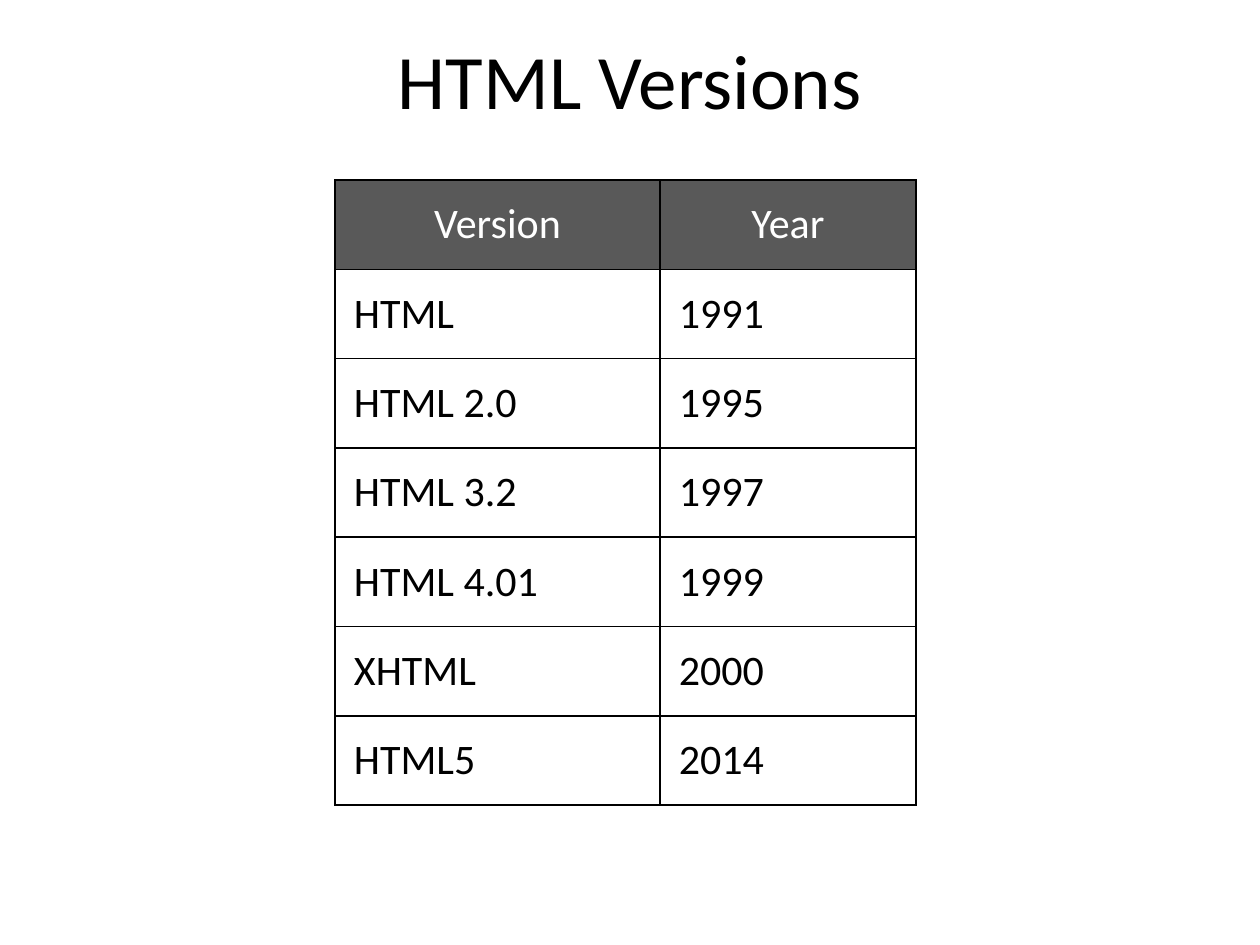
from lxml.etree import SubElement
from pptx import Presentation
from pptx.dml.color import RGBColor
from pptx.enum.text import MSO_ANCHOR as Anchor, PP_ALIGN as Align
from pptx.oxml.ns import qn
from pptx.util import Pt

PX = 914400 // 126
BLACK = RGBColor(0x00, 0x00, 0x00)
WHITE = RGBColor(0xFF, 0xFF, 0xFF)
GREY = RGBColor(0x59, 0x59, 0x59)
FONT = "Calibri"

COLUMN_WIDTHS = (325, 256)
ROW_HEIGHT = 89
CELL_MARGIN = 19
VERSIONS = [
    ("Version", "Year"),
    ("HTML", "1991"),
    ("HTML 2.0", "1995"),
    ("HTML 3.2", "1997"),
    ("HTML 4.01", "1999"),
    ("XHTML", "2000"),
    ("HTML5", "2014"),
]


def px(length):
    return length * PX


def set_all(target, values):
    for name, value in values.items():
        setattr(target, name, value)


def format_text(paragraph, size, color, align):
    paragraph.alignment = align
    set_all(paragraph.font, {"name": FONT, "size": Pt(size), "bold": False})
    paragraph.font.color.rgb = color


def add_title(slide, left, top, width, height):
    title = slide.shapes.title
    set_all(title, {"left": px(left), "top": px(top),
                    "width": px(width), "height": px(height)})
    title.text_frame.text = "HTML Versions"
    title.text_frame.vertical_anchor = Anchor.MIDDLE
    format_text(title.text_frame.paragraphs[0], 44, BLACK, Align.CENTER)


def add_borders(cell):
    properties = cell._tc.get_or_add_tcPr()
    for side in ("lnL", "lnR", "lnT", "lnB"):
        line = SubElement(properties, qn(f"a:{side}"), w=str(Pt(1)))
        fill = SubElement(line, qn("a:solidFill"))
        SubElement(fill, qn("a:srgbClr"), val=str(BLACK))


def fill_cell(cell, text, is_header):
    margins = ("margin_left", "margin_right", "margin_top", "margin_bottom")
    set_all(cell, dict.fromkeys(margins, px(CELL_MARGIN)))
    cell.vertical_anchor = Anchor.MIDDLE
    add_borders(cell)
    cell.fill.solid()
    cell.fill.fore_color.rgb = GREY if is_header else WHITE
    cell.text = text
    format_text(cell.text_frame.paragraphs[0], 24,
                WHITE if is_header else BLACK,
                Align.CENTER if is_header else Align.LEFT)


def add_version_table(slide, left, top):
    table = slide.shapes.add_table(
        len(VERSIONS), len(COLUMN_WIDTHS), px(left), px(top),
        px(sum(COLUMN_WIDTHS)), px(ROW_HEIGHT * len(VERSIONS))).table
    table.horz_banding = False
    for column, width in zip(table.columns, COLUMN_WIDTHS):
        column.width = px(width)
    for index, (row, texts) in enumerate(zip(table.rows, VERSIONS)):
        row.height = px(ROW_HEIGHT)
        for cell, text in zip(row.cells, texts):
            fill_cell(cell, text, index == 0)


def main():
    presentation = Presentation()
    presentation.slide_width = px(1260)
    presentation.slide_height = px(945)
    slide = presentation.slides.add_slide(presentation.slide_layouts[5])
    add_title(slide, 63, 0, 1134, 158)
    add_version_table(slide, 335, 180)
    presentation.save("out.pptx")


if __name__ == "__main__":
    main()
